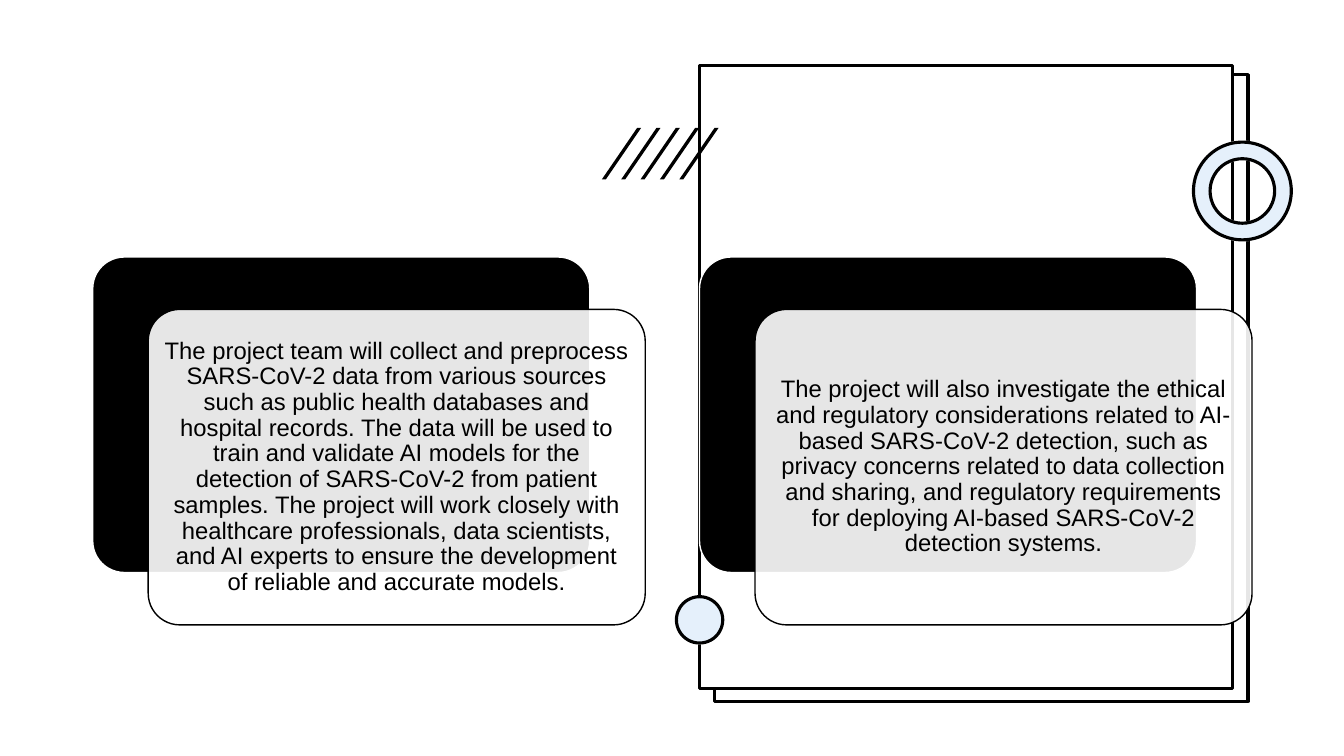
from dataclasses import dataclass
from typing import Optional

import pptx
import pptx.dml.color
import pptx.enum.shapes
import pptx.enum.text
import pptx.oxml.ns
import pptx.util
from lxml import etree

SHAPES = pptx.enum.shapes.MSO_SHAPE
COLOURS = {"paper": "FFFFFF", "ink": "000000", "tint": "7DB6EF"}
SLIDE_WIDTH = pptx.util.Inches(13.333)
SLIDE_HEIGHT = pptx.util.Inches(7.5)


@dataclass(frozen=True)
class Area:
    """Left, top, width and height in percent of the slide's size."""

    left: float
    top: float
    width: float
    height: float

    def shifted(self, right: float, down: float) -> "Area":
        return Area(self.left + right, self.top + down, self.width, self.height)

    def inset(self, across: float, down: float) -> "Area":
        return Area(self.left + across, self.top + down,
                    self.width - 2 * across, self.height - 2 * down)

    def lengths(self) -> tuple[int, int, int, int]:
        return (across_slide(self.left), down_slide(self.top),
                across_slide(self.width), down_slide(self.height))


@dataclass(frozen=True)
class Style:
    fill: str
    line: Optional[str] = None
    weight: float = 2.25
    opacity: int = 100


@dataclass(frozen=True)
class Figure:
    kind: int
    area: Area
    styles: tuple[Style, ...]
    adjustment: Optional[float] = None


PLAIN = Style("paper")
UNDERLAY = Style("paper", "paper")
OUTLINED = Style("paper", "ink")
VEIL = Style("paper", "ink", opacity=20)
TINTED = Style("tint", "ink", opacity=20)
CARD_BACK = Style("ink", "paper", 1)
CARD_PANEL = Style("paper", "ink", 1, 90)

FIGURES = (
    Figure(SHAPES.RECTANGLE, Area(0, 0, 100, 100), (PLAIN,)),
    Figure(SHAPES.RECTANGLE, Area(53.18, 9.87, 39.68, 82.93), (UNDERLAY, VEIL)),
    Figure(SHAPES.RECTANGLE, Area(52.05, 8.67, 39.68, 82.4), (OUTLINED,)),
)
ACCENTS = (
    Figure(SHAPES.DONUT, Area(88.8, 18.8, 7.28, 12.93), (UNDERLAY, TINTED), 0.17),
    Figure(SHAPES.OVAL, Area(50.33, 78.93, 3.45, 6.13), (UNDERLAY, TINTED)),
)

STRIPE_COUNT = 5
STRIPE = Area(44.78, 16.93, 2.92, 6.8)
STRIPE_PITCH = 1.44
STRIPE_THICKNESS = 0.3

CARD = Area(6.9, 34, 36.98, 41.73)
CARD_PITCH = 45.15
CARD_TEXTS = (
    "The project team will collect and preprocess SARS-CoV-2 data from various "
    "sources such as public health databases and hospital records. The data will "
    "be used to train and validate AI models for the detection of SARS-CoV-2 from "
    "patient samples. The project will work closely with healthcare professionals, "
    "data scientists, and AI experts to ensure the development of reliable and "
    "accurate models.",
    "The project will also investigate the ethical and regulatory considerations "
    "related to AI-based SARS-CoV-2 detection, such as privacy concerns related to "
    "data collection and sharing, and regulatory requirements for deploying "
    "AI-based SARS-CoV-2 detection systems.",
)


def across_slide(percent: float) -> int:
    return round(SLIDE_WIDTH * percent / 100)


def down_slide(percent: float) -> int:
    return round(SLIDE_HEIGHT * percent / 100)


def colour(name: str) -> pptx.dml.color.RGBColor:
    return pptx.dml.color.RGBColor.from_string(COLOURS[name])


def apply_style(shape, style: Style) -> None:
    shape.shadow.inherit = False
    shape.fill.solid()
    shape.fill.fore_color.rgb = colour(style.fill)
    if style.opacity < 100:
        tag = pptx.oxml.ns.qn("a:srgbClr")
        fill = shape.fill._xPr.find(pptx.oxml.ns.qn("a:solidFill")).find(tag)
        alpha = etree.SubElement(fill, pptx.oxml.ns.qn("a:alpha"))
        alpha.set("val", str(style.opacity * 1000))
    if style.line is None:
        shape.line.fill.background()
    else:
        shape.line.color.rgb = colour(style.line)
        shape.line.width = pptx.util.Pt(style.weight)


def draw_figure(page, figure: Figure) -> None:
    for style in figure.styles:
        shape = page.shapes.add_shape(figure.kind, *figure.area.lengths())
        if figure.adjustment is not None:
            shape.adjustments[0] = figure.adjustment
        apply_style(shape, style)


def draw_stripe(page, area: Area) -> None:
    left, top, width, height = area.lengths()
    right, bottom = left + width, top + height
    thickness = across_slide(STRIPE_THICKNESS)
    builder = page.shapes.build_freeform(left + thickness, bottom)
    builder.add_line_segments(
        [(left, bottom), (right - thickness, top), (right, top)], close=True)
    apply_style(builder.convert_to_shape(), Style("ink"))


def draw_card(page, area: Area, text: str) -> None:
    panel = area.shifted(4.13, 6.93)
    for place, style in ((area, CARD_BACK), (panel, CARD_PANEL)):
        draw_figure(page, Figure(SHAPES.ROUNDED_RECTANGLE, place, (style,), 0.1))
    box = page.shapes.add_textbox(*panel.inset(0.7, 1.2).lengths())
    frame = box.text_frame
    frame.word_wrap = True
    frame.vertical_anchor = pptx.enum.text.MSO_ANCHOR.MIDDLE
    margin = pptx.util.Inches(0.07)
    frame.margin_left = frame.margin_right = margin
    frame.margin_top = frame.margin_bottom = margin
    frame.text = text
    para = frame.paragraphs[0]
    para.alignment = pptx.enum.text.PP_ALIGN.CENTER
    para.line_spacing = 0.9
    for span in para.runs:
        span.font.name = "Arial"
        span.font.size = pptx.util.Pt(17)
        span.font.color.rgb = colour("ink")


def main() -> None:
    deck = pptx.Presentation()
    deck.slide_width = SLIDE_WIDTH
    deck.slide_height = SLIDE_HEIGHT
    page = deck.slides.add_slide(deck.slide_layouts[6])
    for figure in FIGURES:
        draw_figure(page, figure)
    for index in range(STRIPE_COUNT):
        draw_stripe(page, STRIPE.shifted(index * STRIPE_PITCH, 0))
    for figure in ACCENTS:
        draw_figure(page, figure)
    for index, text in enumerate(CARD_TEXTS):
        draw_card(page, CARD.shifted(index * CARD_PITCH, 0), text)
    deck.save("out.pptx")


if __name__ == "__main__":
    main()
